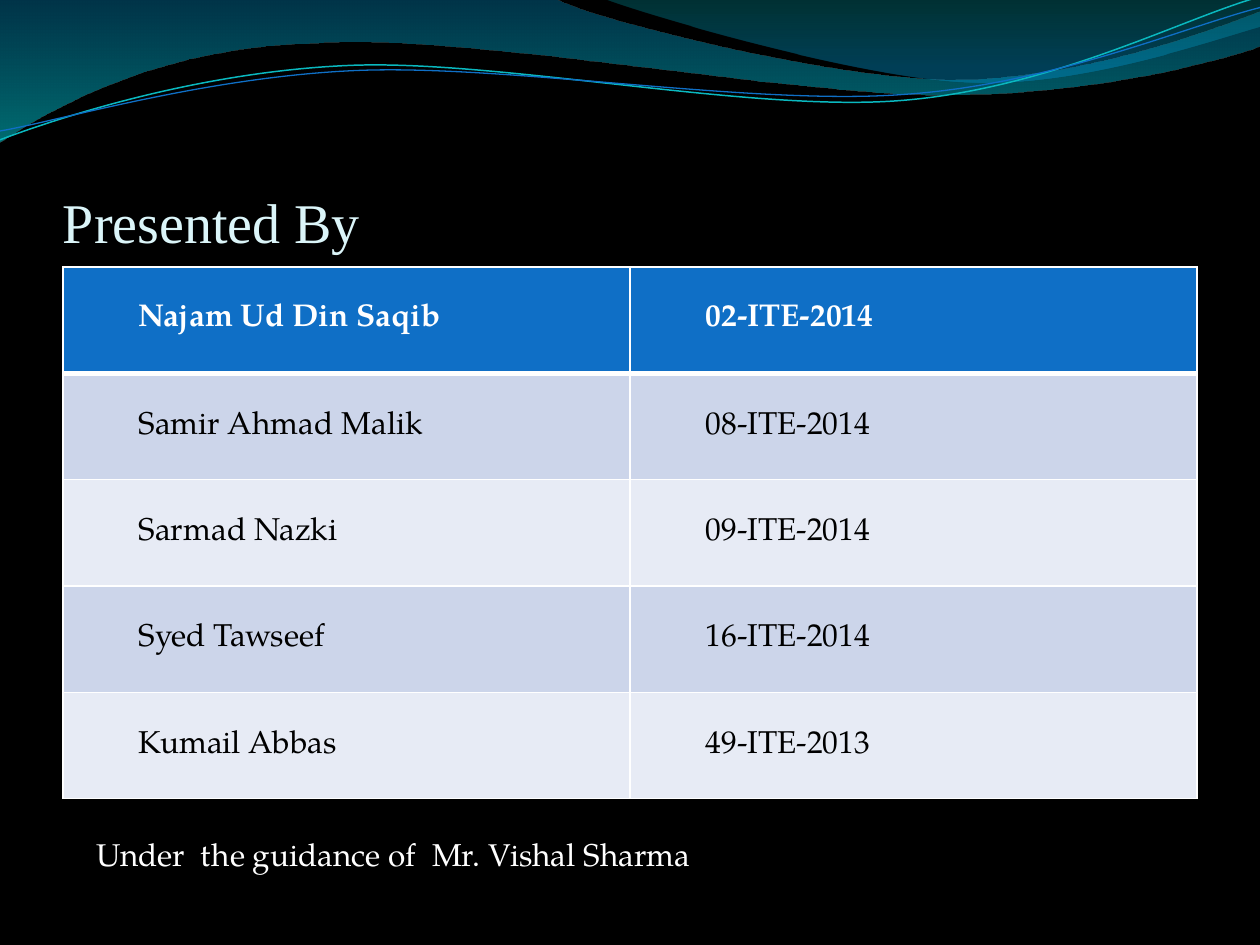
import pptx
import pptx.util
import pptx.dml.color
import pptx.enum.text
import pptx.oxml.ns
from lxml import etree

Inches = pptx.util.Inches
Pt = pptx.util.Pt
qn = pptx.oxml.ns.qn

COLORS = {
    "background": "000000",
    "title": "DBF5F9",
    "white": "FFFFFF",
    "black": "000000",
    "header": "0F6FC6",
    "odd_row": "CCD5EA",
    "even_row": "E7EBF5",
    "cyan_line": "0AB8BF",
    "wave_top": "0074A1",
    "wave_bottom": "00C6CF",
    "corner_top": "00A1A9",
    "corner_bottom": "008BBF",
}
TITLE_FONT = "Times New Roman"
BODY_FONT = "TeX Gyre Pagella"

WAVE = [
    (0, 0), (4.4, -0.01),
    (4.76, 0.17, 6.64, 0.63, 7.58, 0.63), (8.53, 0.63, 9.58, 0.26, 10, 0.09),
    (10.01, 0.36),
    (9.83, 0.44, 8.7, 0.76, 7.46, 0.75), (6.22, 0.75, 3.82, 0.28, 2.57, 0.34),
    (1.29, 0.36, 0.46, 0.83, -0.01, 1.13), (0, 0),
]
CORNER = [
    (4.79, -0.01),
    (5.09, 0.11, 6.82, 0.62, 7.69, 0.65), (8.56, 0.69, 9.61, 0.32, 10, 0.21),
    (10, 0), (4.79, -0.01),
]
CYAN_CURVE = [
    (0, 1.11),
    (0.48, 0.93, 1.58, 0.57, 2.77, 0.52), (3.95, 0.47, 5.93, 0.89, 7.13, 0.8),
    (8.33, 0.71, 9.38, 0.15, 9.98, -0.02),
]
BLUE_CURVE = [
    (0, 1.04),
    (0.47, 0.96, 1.64, 0.61, 2.83, 0.56), (4.03, 0.51, 5.97, 0.84, 7.17, 0.75),
    (8.36, 0.67, 9.41, 0.21, 10, 0.06),
]
MEMBERS = [
    ("Najam Ud Din Saqib", "02-ITE-2014"),
    ("Samir Ahmad Malik", "08-ITE-2014"),
    ("Sarmad Nazki", "09-ITE-2014"),
    ("Syed Tawseef", "16-ITE-2014"),
    ("Kumail Abbas", "49-ITE-2013"),
]


def rgb(name):
    return pptx.dml.color.RGBColor.from_string(COLORS[name])


class SlideBuilder:
    def __init__(self, slide):
        self.slide = slide
        slide.background.fill.solid()
        slide.background.fill.fore_color.rgb = rgb("background")

    def outline(self, segments, close):
        anchors = [(Inches(segment[-2]), Inches(segment[-1])) for segment in segments]
        builder = self.slide.shapes.build_freeform(*anchors[0])
        builder.add_line_segments(anchors[1:], close=close)
        shape = builder.convert_to_shape()
        shape.shadow.inherit = False
        steps = list(shape._element.iter(qn("a:lnTo")))
        for step, segment in zip(steps, segments[1:]):
            if len(segment) == 6:
                self.bend(shape, step, segment)
        return shape

    def bend(self, shape, step, segment):
        curve = etree.Element(qn("a:cubicBezTo"))
        for x, y in zip(segment[::2], segment[1::2]):
            etree.SubElement(curve, qn("a:pt"), x=str(Inches(x) - shape.left),
                             y=str(Inches(y) - shape.top))
        step.getparent().replace(step, curve)

    def wave(self, segments, stops):
        shape = self.outline(segments, True)
        shape.line.fill.background()
        shape.fill.gradient()
        shape.fill.gradient_angle = 270
        for stop, (position, color, _) in zip(shape.fill.gradient_stops, stops):
            stop.position = position
            stop.color.rgb = rgb(color)
        elements = shape._element.spPr.find(qn("a:gradFill")).iter(qn("a:srgbClr"))
        for element, (_, _, opacity) in zip(elements, stops):
            etree.SubElement(element, qn("a:alpha"), val=str(opacity * 1000))

    def curve(self, segments, color, width):
        shape = self.outline(segments, False)
        shape.fill.background()
        shape.line.color.rgb = rgb(color)
        shape.line.width = Pt(width)

    def style(self, paragraph, font, size, color, bold=False):
        paragraph.font.name = font
        paragraph.font.size = Pt(size)
        paragraph.font.bold = bold
        paragraph.font.color.rgb = rgb(color)

    def text(self, box, words, font, size, color):
        shape = self.slide.shapes.add_textbox(*map(Inches, box))
        frame = shape.text_frame
        frame.word_wrap = True
        frame.text = words
        self.style(frame.paragraphs[0], font, size, color)
        return frame

    def border(self, cell, side, width):
        line = etree.SubElement(
            cell._tc.get_or_add_tcPr(), qn("a:" + side), w=str(Pt(width)))
        fill = etree.SubElement(line, qn("a:solidFill"))
        etree.SubElement(fill, qn("a:srgbClr"), val=COLORS["white"])

    def cell(self, cell, words, row):
        header = row == 0
        widths = {"lnL": 1, "lnR": 1, "lnT": 3 if row == 1 else 1, "lnB": 3 if header else 1}
        for side, width in widths.items():
            self.border(cell, side, width)
        cell.fill.solid()
        cell.fill.fore_color.rgb = rgb(
            "header" if header else "odd_row" if row % 2 else "even_row")
        cell.text = words
        paragraph = cell.text_frame.paragraphs[0]
        paragraph.level = 1
        paragraph.line_spacing = 2.0
        properties = paragraph._p.get_or_add_pPr()
        properties.set("marL", str(Inches(0.5)))
        properties.set("indent", "0")
        self.style(paragraph, BODY_FONT, 18, "white" if header else "black", header)

    def table(self, box, rows):
        frame = self.slide.shapes.add_table(len(rows), len(rows[0]), *map(Inches, box))
        for row, values in enumerate(rows):
            for column, words in enumerate(values):
                self.cell(frame.table.cell(row, column), words, row)


def main():
    presentation = pptx.Presentation()
    presentation.slide_width = Inches(10)
    presentation.slide_height = Inches(7.5)
    builder = SlideBuilder(presentation.slides.add_slide(presentation.slide_layouts[6]))

    builder.wave(WAVE, [(0, "wave_top", 45), (1, "wave_bottom", 55)])
    builder.wave(CORNER, [(0, "corner_top", 30), (0.8, "corner_bottom", 45)])
    builder.curve(CYAN_CURVE, "cyan_line", 0.85)
    builder.curve(BLUE_CURVE, "header", 0.75)

    title = builder.text((0.5, 0.77, 9, 1.25), "Presented By", TITLE_FONT, 32, "title")
    title.vertical_anchor = pptx.enum.text.MSO_ANCHOR.BOTTOM
    title.margin_left = title.margin_right = title.margin_bottom = 0

    builder.table((0.5, 2.12, 9, 4.22), MEMBERS)
    guidance = builder.text((0.67, 6.58, 8.83, 0.4),
                            "Under  the guidance of  Mr. Vishal Sharma",
                            BODY_FONT, 18, "white")
    guidance.auto_size = pptx.enum.text.MSO_AUTO_SIZE.SHAPE_TO_FIT_TEXT
    presentation.save("out.pptx")


if __name__ == "__main__":
    main()
